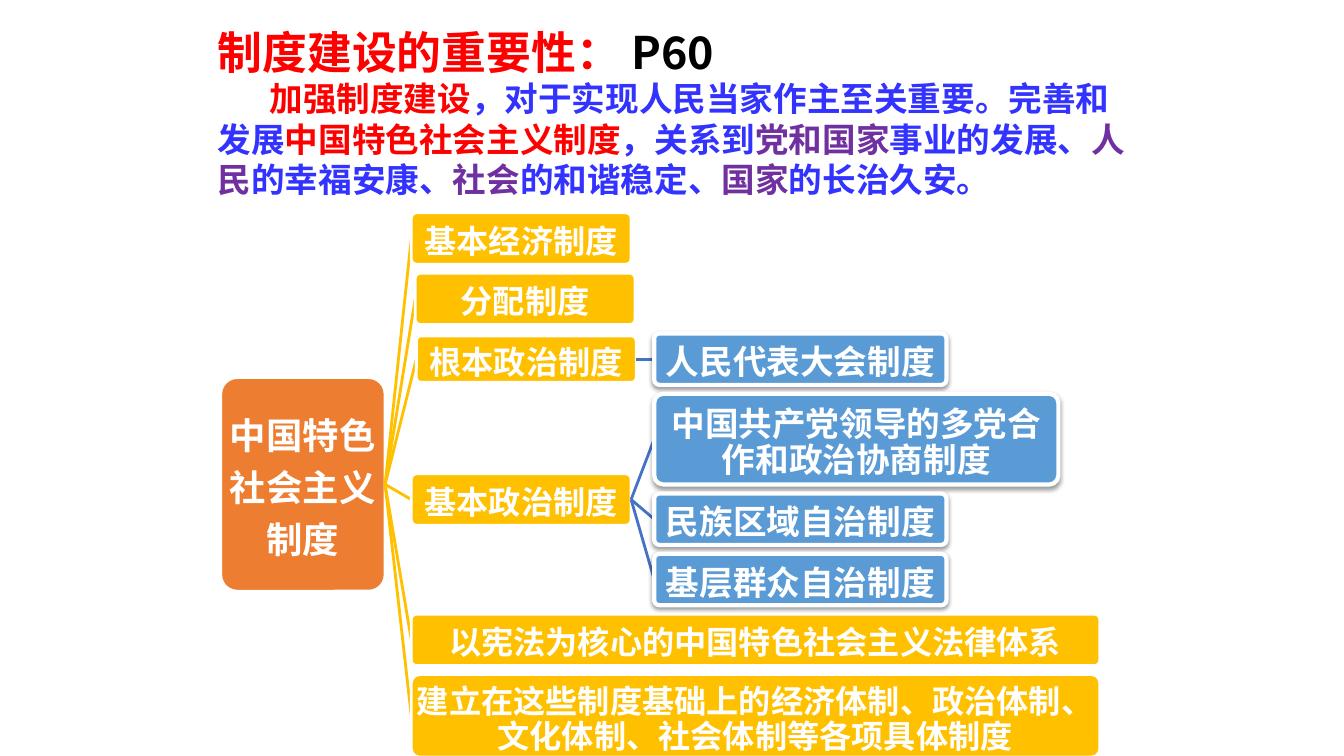
import pptx
import pptx.util
import pptx.dml.color
import pptx.enum.shapes
import pptx.enum.text
import pptx.oxml
import pptx.oxml.ns
from lxml import etree

Pt = pptx.util.Pt
RGBColor = pptx.dml.color.RGBColor
PP_ALIGN = pptx.enum.text.PP_ALIGN
ANCHOR = pptx.enum.text.MSO_ANCHOR

WHITE = RGBColor(0xFF, 0xFF, 0xFF)
BLACK = RGBColor(0, 0, 0)
RED = RGBColor(0xFF, 0, 0)
BLUE = RGBColor(0x33, 0x33, 0xFF)
PURPLE = RGBColor(0x70, 0x30, 0xA0)
ORANGE = RGBColor(0xED, 0x7D, 0x31)
GOLD = RGBColor(0xFF, 0xC0, 0)
SKY = RGBColor(0x5B, 0x9B, 0xD5)
LINK_BLUE = RGBColor(0x44, 0x72, 0xC4)

HEADING_FONT = "Noto Sans CJK SC"
DIAGRAM_FONT = "Noto Sans CJK JP"
ROW_GAP = 6.4
ROW_HEIGHT = 36.7

HEADING = [("制度建设的重要性： ", RED), ("P60", BLACK)]
IMPORTANCE = [
    ("加强制度建设", RED),
    ("，对于实现人民当家作主至关重要。完善和发展", BLUE),
    ("中国特色社会主义制度", RED),
    ("，关系到", BLUE),
    ("党和国家", PURPLE),
    ("事业的发展、", BLUE),
    ("人民", PURPLE),
    ("的幸福安康、", BLUE),
    ("社会", PURPLE),
    ("的和谐稳定、", BLUE),
    ("国家", PURPLE),
    ("的长治久安。", BLUE),
]
ROOT = "中国特色\n社会主义\n制度"
BRANCHES = [
    ("基本经济制度", 0, 157, ROW_HEIGHT, []),
    ("分配制度", 2.8, 157, ROW_HEIGHT, []),
    ("根本政治制度", 3.6, 157, 33.1, [("人民代表大会制度", 208.8, ROW_HEIGHT)]),
    ("基本政治制度", 0, 157, ROW_HEIGHT, [
        ("中国共产党领导的多党合作和政治协商制度", 288.7, 64.8),
        ("民族区域自治制度", 208.8, ROW_HEIGHT),
        ("基层群众自治制度", 208.8, ROW_HEIGHT),
    ]),
    ("以宪法为核心的中国特色社会主义法律体系", 0, 491.8, ROW_HEIGHT, []),
    ("建立在这些制度基础上的经济体制、政治体制、文化体制、社会体制等各项具体制度",
     0, 491.8, 59, []),
]


def format_run(run, size, color, font_name):
    """Apply bold text formatting for Latin and East Asian characters."""
    run.font.size = Pt(size)
    run.font.bold = True
    run.font.color.rgb = color
    run.font.name = font_name
    east_asian = etree.SubElement(run._r.get_or_add_rPr(), pptx.oxml.ns.qn("a:ea"))
    east_asian.set("typeface", font_name)


def fill_passage(placeholder, box, pieces, size, indent=0):
    """Place a text placeholder and fill it with one paragraph of coloured pieces."""
    placeholder.left, placeholder.top, placeholder.width, placeholder.height = map(Pt, box)
    frame = placeholder.text_frame
    frame.word_wrap = True
    frame.auto_size = pptx.enum.text.MSO_AUTO_SIZE.NONE
    frame.vertical_anchor = ANCHOR.TOP
    passage = frame.paragraphs[0]
    properties = passage._p.get_or_add_pPr()
    properties.set("marL", "0")
    properties.set("indent", str(Pt(indent)))
    etree.SubElement(properties, pptx.oxml.ns.qn("a:buNone"))
    passage.alignment = PP_ALIGN.LEFT
    passage.space_before = Pt(0)
    passage.line_spacing = Pt(size * 1.2)
    for words, color in pieces:
        run = passage.add_run()
        run.text = words
        format_run(run, size, color, HEADING_FONT)


def add_node(slide, box, label, size, fill, border=2):
    """Add one rounded node of the tree with its centred label."""
    node = slide.shapes.add_shape(
        pptx.enum.shapes.MSO_SHAPE.ROUNDED_RECTANGLE, *map(Pt, box))
    node.adjustments[0] = 0.1
    node.shadow.inherit = False
    node.fill.solid()
    node.fill.fore_color.rgb = fill
    node.line.color.rgb = WHITE
    node.line.width = Pt(border)
    frame = node.text_frame
    frame.text = label
    frame.word_wrap = True
    frame.vertical_anchor = ANCHOR.MIDDLE
    frame.margin_left = frame.margin_right = frame.margin_bottom = Pt(1.5)
    frame.margin_top = Pt(1.5 + size / 4)
    for line in frame.paragraphs:
        line.alignment = PP_ALIGN.CENTER
        line.line_spacing = Pt(size * 1.08)
        if line is not frame.paragraphs[-1] and line._p.getnext() is not None:
            line.space_after = Pt(size * 0.35)
        format_run(line.runs[0], size, WHITE, DIAGRAM_FONT)
    return node


def add_child(slide, parent, color, box, label, size, fill, border=2):
    """Add a node and the link that runs to it from behind its parent."""
    link = slide.shapes.add_connector(
        pptx.enum.shapes.MSO_CONNECTOR.STRAIGHT, 0, 0, 0, 0)
    link.line.color.rgb = color
    link.line.width = Pt(2)
    etree.SubElement(link._element.spPr, pptx.oxml.ns.qn("a:effectLst"))
    node = add_node(slide, box, label, size, fill, border)
    link.begin_connect(parent, 3)
    link.end_connect(node, 1)
    return node


def add_leaf(slide, parent, box, label):
    """Add a blue leaf with a soft shadow below it."""
    leaf = add_child(slide, parent, LINK_BLUE, box, label, 24, SKY, 3)
    effects = leaf._element.spPr.find(pptx.oxml.ns.qn("a:effectLst"))
    effects.append(pptx.oxml.parse_xml(
        f'<a:outerShdw {pptx.oxml.ns.nsdecls("a")} blurRad="{Pt(3.1)}" dist="{Pt(1.6)}" '
        'dir="5400000" rotWithShape="0"><a:srgbClr val="000000">'
        '<a:alpha val="38000"/></a:srgbClr></a:outerShdw>'))


def build_tree(slide, box):
    """Stack the branches in the box, each centred on its leaves."""
    left, top, width, height = box
    root_height = 152.6
    root = add_node(slide, (left, top + (height - root_height) / 2, 117.4, root_height),
                    ROOT, 26, ORANGE)
    for label, shift, branch_width, branch_height, leaves in BRANCHES:
        span = branch_height
        if leaves:
            span = sum(leaf[2] + ROW_GAP for leaf in leaves) - ROW_GAP
        branch_box = (left + 136.1 + shift, top + (span - branch_height) / 2,
                      branch_width, branch_height)
        branch = add_child(slide, root, GOLD, branch_box, label, 23, GOLD)
        leaf_top = top
        for leaf_label, leaf_width, leaf_height in leaves:
            add_leaf(slide, branch, (left + 309.6, leaf_top, leaf_width, leaf_height),
                     leaf_label)
            leaf_top += leaf_height + ROW_GAP
        top += span + ROW_GAP


def build_introduction(slide, box):
    """Place the heading above the passage on why institutions matter."""
    left, top, width, height = box
    heading_height = 38.5
    title, body = slide.placeholders
    fill_passage(title, (left, top, width, heading_height), HEADING, 32)
    fill_passage(body, (left, top + heading_height, width, height - heading_height),
                 IMPORTANCE, 24, 37)


def main():
    """Build and save the slide."""
    deck = pptx.Presentation()
    deck.slide_width, deck.slide_height = Pt(960), Pt(540)
    slide = deck.slides.add_slide(deck.slide_layouts[1])
    build_introduction(slide, (148.3, 13.7, 669.6, 132))
    build_tree(slide, (157.7, 152, 627.9, 388))
    deck.save("out.pptx")


if __name__ == "__main__":
    main()
